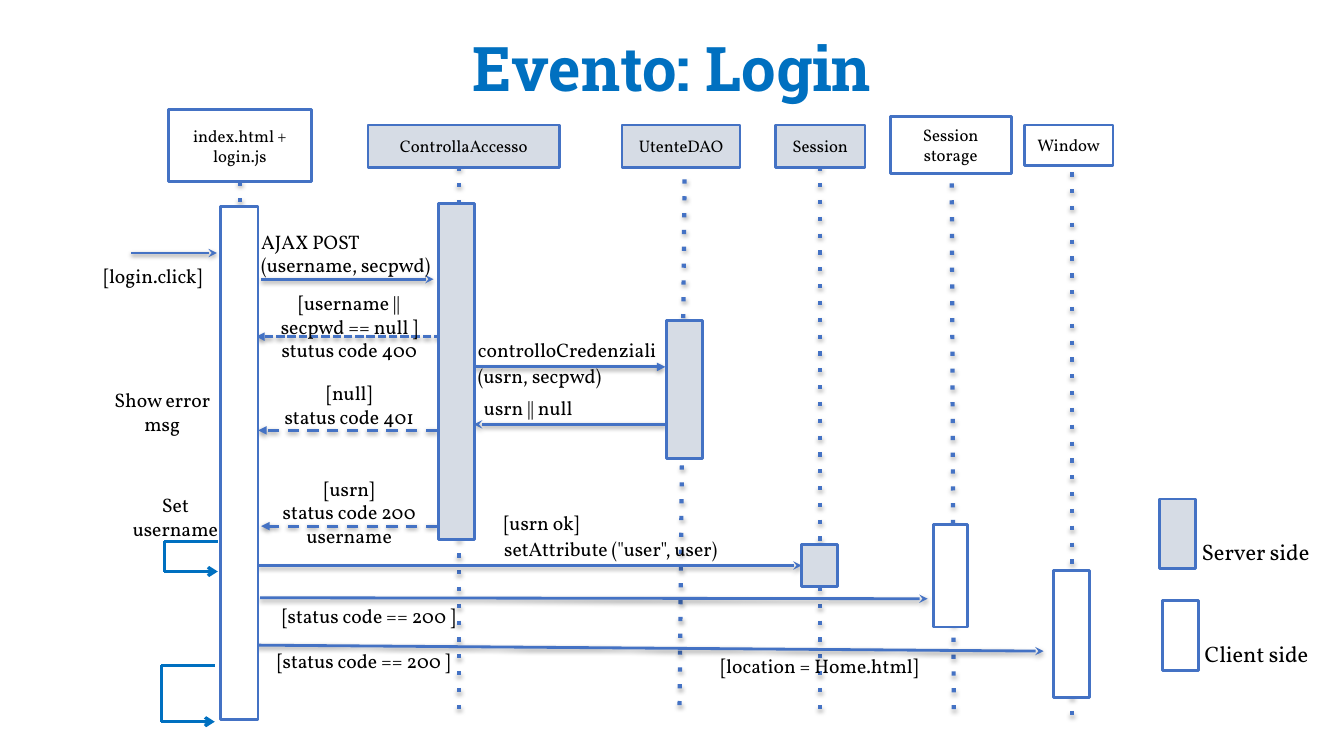
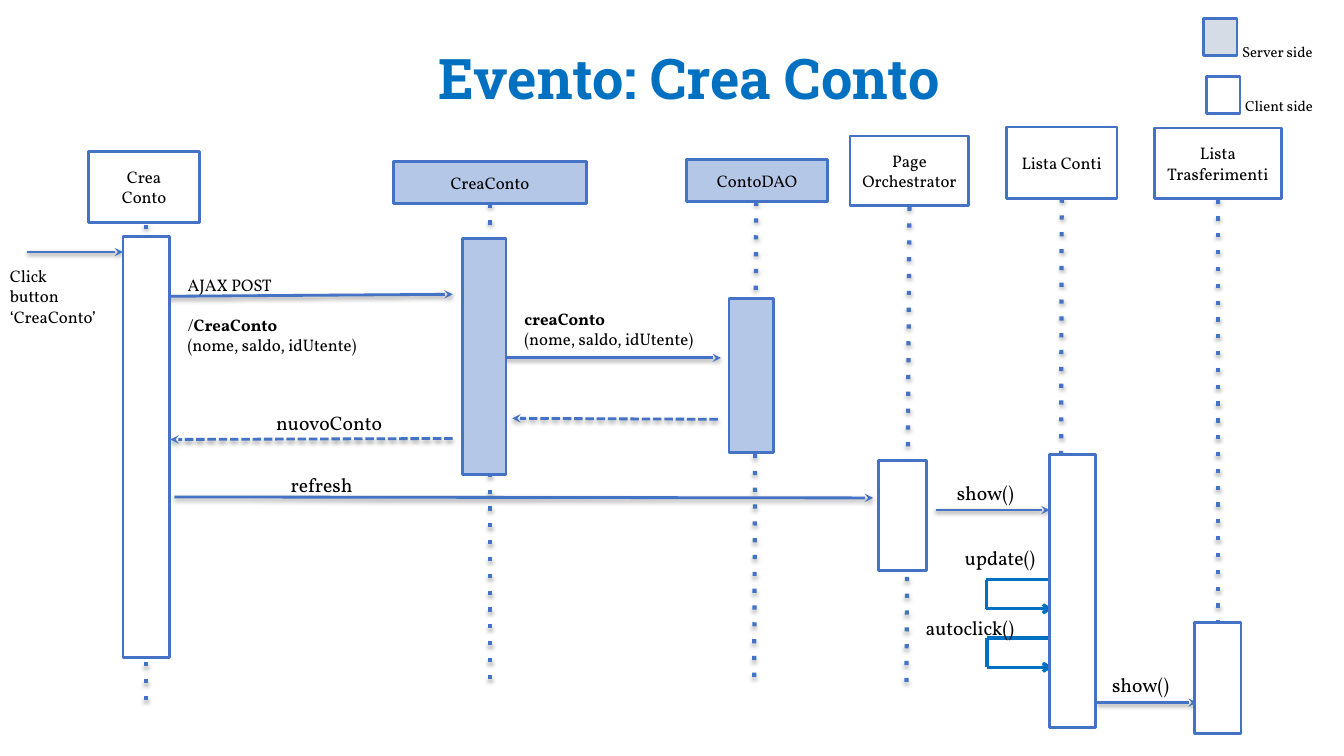
"""Build two sequence-diagram slides for the login and account-creation events."""
from dataclasses import dataclass

from lxml import etree
from pptx import Presentation
from pptx import util as u
from pptx.dml.color import RGBColor
from pptx.enum import shapes, text
from pptx.oxml.ns import qn

PX = 9144
BODY_FONT, TITLE_FONT = "Vollkorn", "Roboto Slab"
BLUE, TITLE_BLUE = "4472C4", "0070C0"
SERVER, SERVER_BLUE, CLIENT, BLACK = "D6DCE5", "B4C7E7", "FFFFFF", "000000"
LEFT, CENTER = text.PP_ALIGN.LEFT, text.PP_ALIGN.CENTER
TOP, MIDDLE, BOTTOM = (
    text.MSO_ANCHOR.TOP, text.MSO_ANCHOR.MIDDLE, text.MSO_ANCHOR.BOTTOM)

Rect = tuple[int, int, int, int]


@dataclass
class Participant:
    """A named head, its dotted lifeline and its activation bar."""
    name: str
    fill: str
    head: Rect
    lifeline: Rect
    bar: Rect


@dataclass
class Message:
    """An arrow from one point to another."""
    ends: Rect
    dash: str = "solid"
    arrow: str = "stealth"


@dataclass
class SelfCall:
    """A three-sided loop that returns to its own bar."""
    left: int
    top: int
    right: int
    bottom: int


@dataclass
class Label:
    """Text in a box; newlines split paragraphs and asterisks mark bold."""
    words: str
    rect: Rect
    size: float = 14
    align: text.PP_ALIGN = LEFT
    gap: int = 0
    inset: int = 12


@dataclass
class Key:
    """A legend swatch with its caption."""
    swatch: Rect
    fill: str
    caption: Label


@dataclass
class Diagram:
    """Everything on one slide."""
    title: Label
    participants: list[Participant]
    messages: list[Message]
    self_calls: list[SelfCall]
    labels: list[Label]
    legend: list[Key]


def px(*lengths: int) -> list[int]:
    """Turn px lengths into EMU."""
    return [u.Emu(length * PX) for length in lengths]


def rgb(value: str) -> RGBColor:
    """Turn a hex string into a colour."""
    return RGBColor.from_string(value)


def write(frame, label: Label, anchor=TOP, font=BODY_FONT, color=BLACK, bold=None) -> None:
    """Fill a text frame from a label."""
    frame.word_wrap = True
    frame.vertical_anchor = anchor
    frame.margin_left = frame.margin_right = px(label.inset)[0]
    frame.margin_top = frame.margin_bottom = px(label.inset // 2)[0]
    for index, line in enumerate(label.words.split("\n")):
        paragraph = frame.add_paragraph() if index else frame.paragraphs[0]
        paragraph.alignment = label.align
        if label.gap and not index:
            paragraph.space_after = u.Pt(label.gap)
        paragraph.font.name = font
        paragraph.font.size = u.Pt(label.size)
        paragraph.font.color.rgb = rgb(color)
        paragraph.font.bold = bold
        for position, piece in enumerate(line.split("*")):
            if piece:
                run = paragraph.add_run()
                run.text = piece
                if position % 2:
                    run.font.bold = True


def draw_label(slide, label: Label) -> None:
    """Draw a free label."""
    write(slide.shapes.add_textbox(*px(*label.rect)).text_frame, label)


def draw_title(slide, title: Label) -> None:
    """Draw the slide title."""
    frame = slide.shapes.add_textbox(*px(*title.rect)).text_frame
    write(frame, title, BOTTOM, TITLE_FONT, TITLE_BLUE, True)
    frame.paragraphs[0].line_spacing = 0.9


def draw_box(slide, rect: Rect, fill: str, name: str = "") -> None:
    """Draw an outlined rectangle with an optional centred name."""
    box = slide.shapes.add_shape(shapes.MSO_SHAPE.RECTANGLE, *px(*rect))
    box.shadow.inherit = False
    box.fill.solid()
    box.fill.fore_color.rgb = rgb(fill)
    box.line.color.rgb = rgb(BLUE)
    box.line.width = u.Pt(2)
    if name:
        write(box.text_frame, Label(name, rect, 12, CENTER), MIDDLE)


def draw_line(slide, ends: Rect, color=BLUE, width=2.0, dash="solid", arrow="",
              shade=38, drop=20000) -> None:
    """Draw a connector with a dash, an arrowhead and a soft shadow if shaded."""
    line = slide.shapes.add_connector(shapes.MSO_CONNECTOR.STRAIGHT, *px(*ends))
    line.line.color.rgb = rgb(color)
    line.line.width = u.Pt(width)
    properties = line._element.spPr
    outline = properties.find(qn("a:ln"))
    etree.SubElement(outline, qn("a:prstDash"), val=dash)
    if arrow:
        etree.SubElement(outline, qn("a:tailEnd"), type=arrow)
    effects = etree.SubElement(properties, qn("a:effectLst"))
    if shade:
        shadow = etree.SubElement(effects, qn("a:outerShdw"), blurRad="40000",
                                  dist=str(drop), dir="5400000", rotWithShape="0")
        tint = etree.SubElement(shadow, qn("a:srgbClr"), val=BLACK)
        etree.SubElement(tint, qn("a:alpha"), val=str(shade * 1000))


def draw_self_call(slide, call: SelfCall) -> None:
    """Draw the three sides of a self call."""
    corners = [(call.right, call.top), (call.left, call.top),
               (call.left, call.bottom), (call.right, call.bottom)]
    for start, end, arrow in zip(corners, corners[1:], ("", "", "arrow")):
        draw_line(slide, (*start, *end), TITLE_BLUE, 2.25, arrow=arrow, shade=0)


def draw_diagram(deck, diagram: Diagram) -> None:
    """Add a slide and draw a diagram from back to front."""
    slide = deck.slides.add_slide(deck.slide_layouts[6])
    for participant in diagram.participants:
        draw_line(slide, participant.lifeline, width=3, dash="dot", shade=35, drop=23000)
    for message in diagram.messages:
        draw_line(slide, message.ends, dash=message.dash, arrow=message.arrow)
    for call in diagram.self_calls:
        draw_self_call(slide, call)
    for participant in diagram.participants:
        draw_box(slide, participant.bar, participant.fill)
        draw_box(slide, participant.head, participant.fill, participant.name)
    for key in diagram.legend:
        draw_box(slide, key.swatch, key.fill)
        draw_label(slide, key.caption)
    for label in diagram.labels:
        draw_label(slide, label)
    draw_title(slide, diagram.title)


LOGIN = Diagram(
    Label("Evento: Login", (314, 19, 705, 90), 44, CENTER, inset=10),
    [
        Participant("index.html + login.js", CLIENT, (167, 109, 142, 71),
                    (238, 180, 238, 664), (219, 205, 37, 509)),
        Participant("ControllaAccesso", SERVER, (365, 124, 190, 42),
                    (455, 165, 455, 703), (435, 202, 36, 333)),
        Participant("UtenteDAO", SERVER, (617, 124, 117, 42),
                    (679, 178, 674, 703), (661, 318, 36, 137)),
        Participant("Session", SERVER, (769, 124, 89, 42),
                    (813, 165, 813, 713), (795, 540, 36, 42)),
        Participant("Session storage", CLIENT, (883, 116, 120, 56),
                    (944, 182, 946, 713), (926, 520, 34, 102)),
        Participant("Window", CLIENT, (1016, 124, 88, 40),
                    (1063, 171, 1063, 713), (1045, 566, 36, 126)),
    ],
    [
        Message((130, 251, 215, 251)),
        Message((259, 277, 430, 277)),
        Message((450, 334, 254, 334), "sysDash", "triangle"),
        Message((470, 364, 660, 364), arrow="triangle"),
        Message((660, 421, 470, 421)),
        Message((453, 427, 256, 427), "dash", "triangle"),
        Message((453, 522, 259, 522), "dash", "triangle"),
        Message((256, 561, 795, 561)),
        Message((258, 593, 920, 594)),
        Message((254, 640, 1035, 646)),
    ],
    [SelfCall(163, 537, 216, 567), SelfCall(160, 660, 213, 716)],
    [
        Label("[login.click]", (91, 256, 137, 108)),
        Label("AJAX POST (username, secpwd)", (247, 222, 199, 68)),
        Label("[username ||\nsecpwd == null ]\nstutus code 400",
              (244, 283, 205, 51), align=CENTER),
        Label("controlloCredenziali\n(usrn, secpwd)", (462, 329, 234, 53), gap=2),
        Label("usrn || null", (468, 387, 135, 40)),
        Label("[null]\nstatus code 401", (265, 372, 163, 51), align=CENTER),
        Label("Show error msg", (101, 379, 120, 61), align=CENTER),
        Label("[usrn]\nstatus code 200\nusername", (263, 467, 167, 71), align=CENTER),
        Label("Set username", (114, 483, 120, 61), align=CENTER),
        Label('[usrn ok]\nsetAttribute ("user", user)', (488, 501, 369, 63), gap=2),
        Label("[status code == 200 ]", (254, 593, 224, 37), align=CENTER),
        Label("[status code == 200 ]", (249, 638, 224, 37), align=CENTER),
        Label("[location = Home.html]", (648, 643, 330, 52), align=CENTER),
    ],
    [
        Key((1150, 495, 36, 69), SERVER,
            Label("Server side", (1182, 529, 135, 37), 16, inset=10)),
        Key((1153, 596, 36, 69), CLIENT,
            Label("Client side", (1185, 630, 132, 37), 16, inset=10)),
    ],
)

CREATE_ACCOUNT = Diagram(
    Label("Evento: Crea Conto", (292, 24, 783, 92), 40, CENTER, inset=10),
    [
        Participant("Crea\nConto", CLIENT, (88, 150, 110, 71),
                    (145, 223, 145, 707), (122, 235, 46, 417)),
        Participant("CreaConto", SERVER_BLUE, (390, 160, 192, 42),
                    (486, 202, 486, 677), (459, 237, 43, 234)),
        Participant("ContoDAO", SERVER_BLUE, (681, 158, 140, 42),
                    (750, 200, 748, 675), (723, 296, 44, 153)),
        Participant("Page\nOrchestrator", CLIENT, (843, 135, 118, 69),
                    (902, 205, 899, 680), (871, 457, 48, 109)),
        Participant("Lista Conti", CLIENT, (998, 126, 110, 71),
                    (1053, 197, 1052, 669), (1041, 451, 46, 271)),
        Participant("Lista Trasferimenti", CLIENT, (1145, 127, 126, 70),
                    (1208, 198, 1208, 682), (1185, 618, 46, 110)),
    ],
    [
        Message((27, 250, 122, 250)),
        Message((161, 294, 449, 292)),
        Message((501, 355, 715, 355)),
        Message((712, 416, 508, 415), "sysDash"),
        Message((449, 435, 169, 436), "sysDash"),
        Message((173, 493, 866, 494)),
        Message((928, 506, 1041, 506)),
        Message((1088, 697, 1187, 697)),
    ],
    [SelfCall(978, 575, 1044, 604), SelfCall(979, 633, 1044, 662)],
    [
        Label("Click\nbutton\n‘CreaConto’", (0, 259, 110, 71), 12, inset=10),
        Label("AJAX POST\n/*CreaConto*\n(nome, saldo, idUtente)",
              (174, 267, 211, 89), 12, gap=14),
        Label("*creaConto*\n(nome, saldo, idUtente)", (508, 300, 219, 60), 12),
        Label("nuovoConto", (258, 402, 137, 38), align=CENTER),
        Label("refresh", (196, 463, 246, 37), align=CENTER),
        Label("show()", (937, 471, 135, 106)),
        Label("update()", (945, 536, 104, 34)),
        Label("autoclick()", (906, 605, 124, 54)),
        Label("show()", (1091, 662, 105, 37)),
    ],
    [
        Key((1194, 18, 33, 37), SERVER,
            Label("Server side", (1222, 38, 111, 29), 10.5, inset=10)),
        Key((1197, 76, 33, 37), CLIENT,
            Label("Client side", (1225, 91, 108, 29), 10.5, inset=10)),
    ],
)


def main() -> None:
    """Build and save the deck."""
    deck = Presentation()
    deck.slide_width, deck.slide_height = px(1333, 750)
    for diagram in (LOGIN, CREATE_ACCOUNT):
        draw_diagram(deck, diagram)
    deck.save("out.pptx")


if __name__ == "__main__":
    main()
